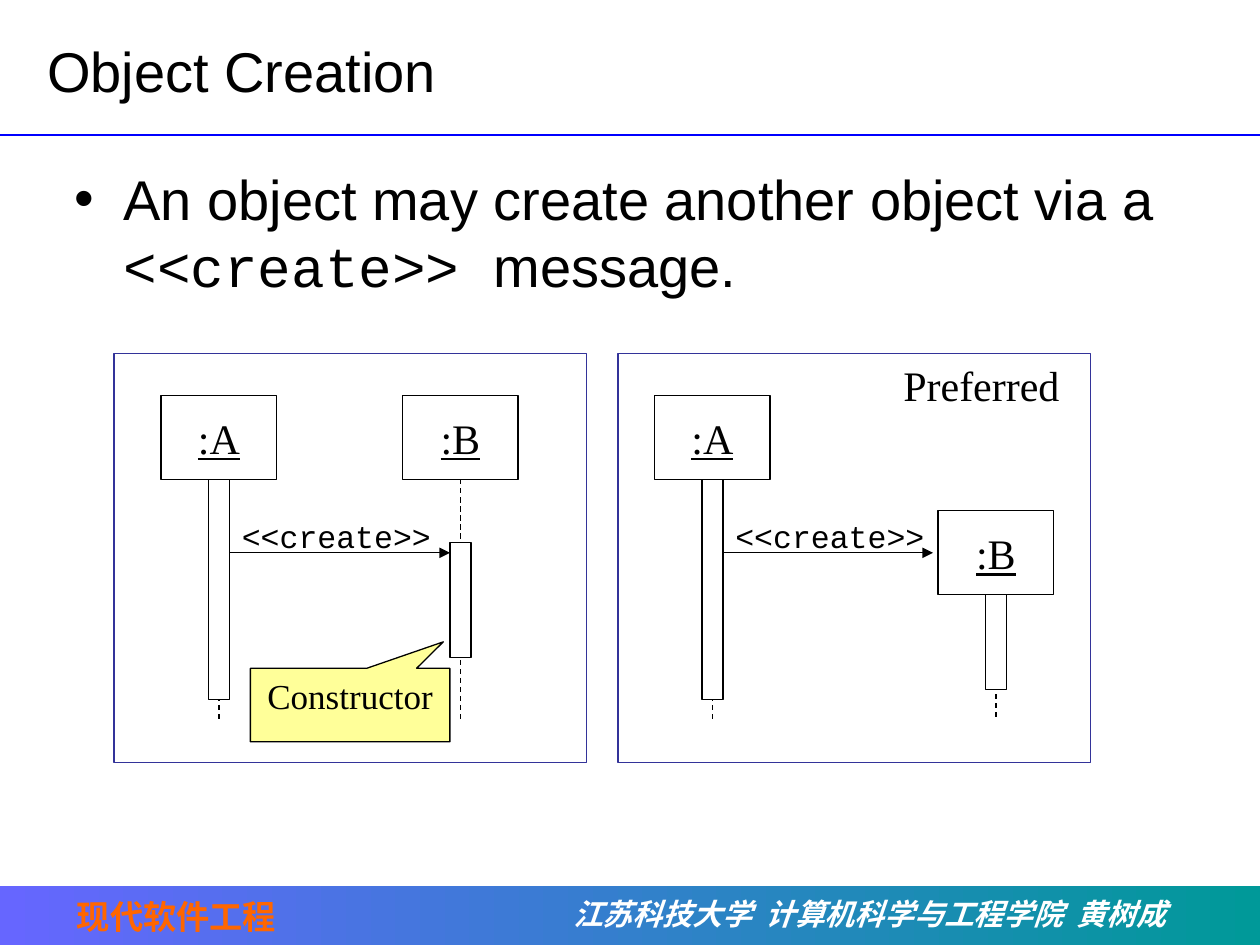
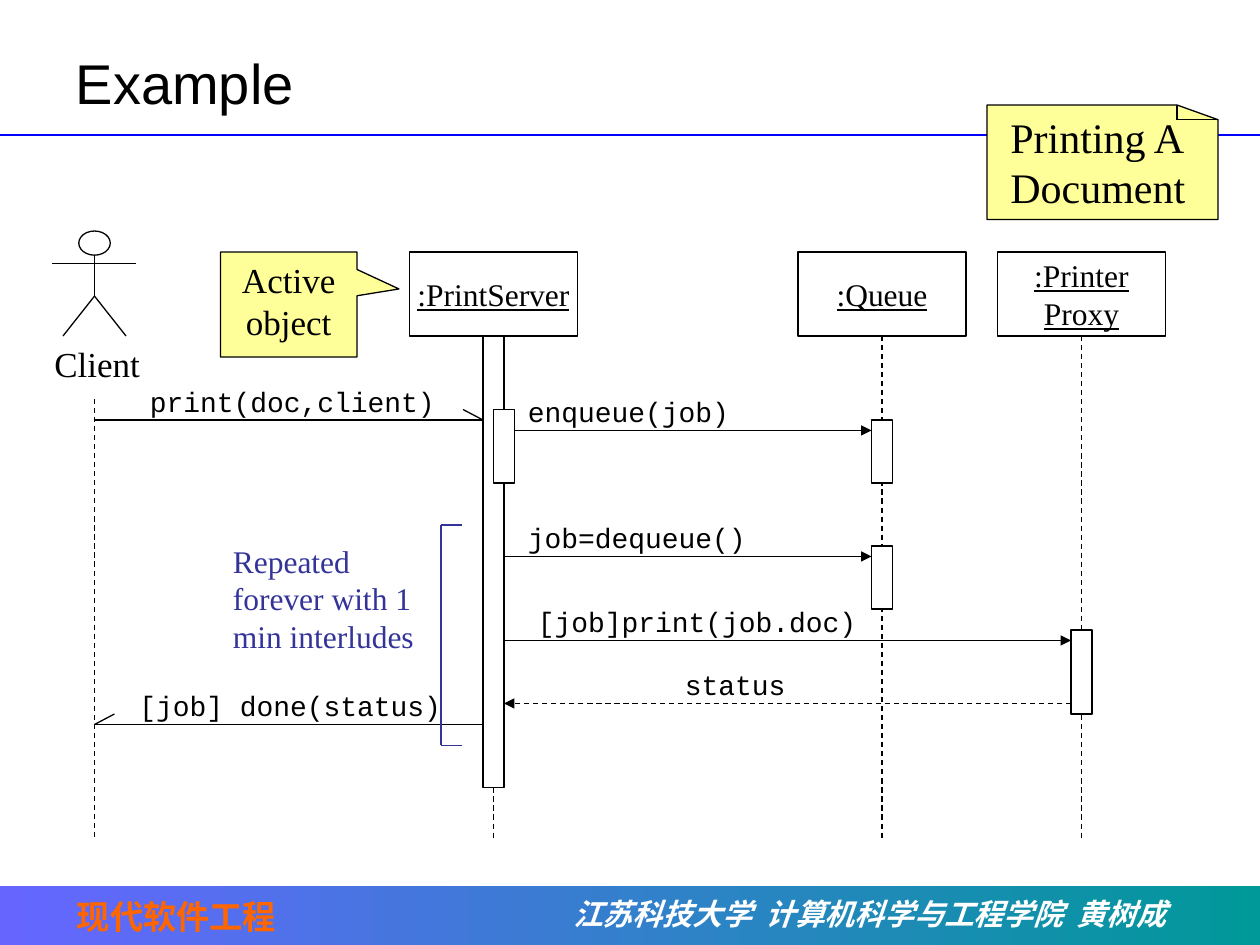
from lxml import etree
from pptx import Presentation
from pptx.dml.color import RGBColor
from pptx.enum.dml import MSO_LINE
from pptx.enum.shapes import MSO_CONNECTOR, MSO_SHAPE
from pptx.enum.text import MSO_ANCHOR, MSO_AUTO_SIZE, PP_ALIGN
from pptx.oxml.ns import qn
from pptx.util import Inches, Pt

RECT, OVAL, CALLOUT = MSO_SHAPE.RECTANGLE, MSO_SHAPE.OVAL, MSO_SHAPE.RECTANGULAR_CALLOUT
LEFT, CENTER = PP_ALIGN.LEFT, PP_ALIGN.CENTER
TOP, MIDDLE = MSO_ANCHOR.TOP, MSO_ANCHOR.MIDDLE
STRAIGHT, DASH = MSO_CONNECTOR.STRAIGHT, MSO_LINE.DASH
GROW = MSO_AUTO_SIZE.SHAPE_TO_FIT_TEXT
SERIF, SANS, MONO = "Times New Roman", "Arial", "Courier New"
BLACK, WHITE, YELLOW, NAVY = "000000", "FFFFFF", "FFFF99", "333399"
BLUE, ORANGE, VIOLET, TEAL = "0000FF", "FF6600", "6666FF", "009999"
COLUMNS, ROWS = 120, 90
CELL = Inches(10) / COLUMNS
rgb = RGBColor.from_string


def draw(page, kind, left, top, width, height, text="", fill=None, line=BLACK,
         size=18, font=SERIF, color=BLACK, align=LEFT, anchor=TOP, wrap=False,
         bold=False, italic=False, underline=False):
    place = [round(length * CELL) for length in (left, top, width, height)]
    if kind is None:
        box = page.shapes.add_textbox(*place)
        if not wrap:
            box.text_frame.auto_size = GROW
    else:
        box = page.shapes.add_shape(kind, *place)
        box.shadow.inherit = False
        if fill:
            box.fill.solid()
            box.fill.fore_color.rgb = rgb(fill)
        else:
            box.fill.background()
        if line:
            box.line.color.rgb = rgb(line)
            box.line.width = Pt(0.75)
        else:
            box.line.fill.background()
    frame = box.text_frame
    frame.word_wrap = wrap
    frame.vertical_anchor = anchor
    for number, words in enumerate(text.split("\n") if text else []):
        para = frame.add_paragraph() if number else frame.paragraphs[0]
        para.alignment = align
        for index, piece in enumerate(words.split("|")):
            span = para.add_run()
            span.text = piece
            span.font.name = MONO if index % 2 else font
            span.font.size = Pt(size)
            span.font.color.rgb = rgb(color)
            span.font.bold = bold
            span.font.italic = italic
            span.font.underline = underline
    return box


def link(page, x1, y1, x2, y2, color=BLACK, width=0.75, dashed=False, arrow=False):
    ends = [round(length * CELL) for length in (x1, y1, x2, y2)]
    connector = page.shapes.add_connector(STRAIGHT, *ends)
    connector.line.color.rgb = rgb(color)
    connector.line.width = Pt(width)
    if dashed:
        connector.line.dash_style = DASH
    if arrow:
        outline = connector.line._get_or_add_ln()
        etree.SubElement(outline, qn("a:tailEnd"), type="triangle")
    etree.SubElement(connector._element.spPr, qn("a:effectLst"))


deck = Presentation()
deck.slide_width = round(COLUMNS * CELL)
deck.slide_height = round(ROWS * CELL)

pages = []
for title, left, top in [("Object Creation", 3.3, 2.5), ("Example", 6.05, 3.6)]:
    page = deck.slides.add_slide(deck.slide_layouts[6])
    link(page, 0, 12.85, COLUMNS, 12.85, color=BLUE, width=1.5)
    band = draw(page, RECT, 0, 84.4, COLUMNS, 5.6, line=None)
    band.fill.gradient()
    band.fill.gradient_angle = 0
    for stop, color in zip(band.fill.gradient_stops, (VIOLET, TEAL)):
        stop.color.rgb = rgb(color)
    draw(page, None, 53.4, 84.7, 61.4, 4.7, "江苏科技大学  计算机科学与工程学院  黄树成",
         size=17, color=WHITE, bold=True, italic=True, wrap=True)
    draw(page, None, 6.15, 84.75, 35.4, 5, "现代软件工程",
         size=19, color=ORANGE, bold=True, wrap=True)
    draw(page, None, left, top, 107, 8.4, title, size=32, font=SANS,
         anchor=MIDDLE, wrap=True)
    pages.append(page)
creation, example = pages

body = draw(creation, None, 5.9, 15.1, 108, 67,
            "An object may create another object via a |<<create>> |message.",
            size=32, font=SANS, wrap=True)
bullet = body.text_frame.paragraphs[0]._p.get_or_add_pPr()
bullet.set("marL", str(Inches(0.39)))
bullet.set("indent", str(-Inches(0.39)))
etree.SubElement(bullet, qn("a:buFont"), typeface=SANS)
etree.SubElement(bullet, qn("a:buChar"), char="•")

head_top, head_width, head_height, life_end = 37.65, 11, 8, 68.65
message_row = head_top + 15
for panel, a_left, b_left, b_top, b_delay, b_run, message_end in [
        (10.85, 15.35, 38.35, head_top, 6, 11, 42.85),
        (58.85, 62.35, 89.35, head_top + 11, 0, 9, 88.85)]:
    draw(creation, RECT, panel, 33.65, 45, 39, line=NAVY)
    for name, left, top, delay, run in [(":A", a_left, head_top, 0, 21),
                                        (":B", b_left, b_top, b_delay, b_run)]:
        middle, bottom = left + head_width / 2, top + head_height
        draw(creation, RECT, left, top, head_width, head_height, name, size=24,
             align=CENTER, anchor=MIDDLE, underline=True)
        link(creation, middle, bottom, middle, life_end, dashed=True)
        draw(creation, RECT, middle - 1, bottom + delay, 2, run, fill=WHITE)
    message_start = a_left + head_width / 2 + 1
    link(creation, message_start, message_row, message_end, message_row, arrow=True)
    draw(creation, None, message_start, message_row - 4, 20.5, 4.8, "<<create>>", font=MONO)
draw(creation, None, 84.85, 33.65, 17.4, 6, "Preferred", size=24)

for ends in [(6, 32, 9, 28.2), (12, 32, 9, 28.2), (9, 28.2, 9, 24.4), (5, 25.1, 13, 25.1)]:
    link(example, *ends)
draw(example, OVAL, 7.5, 22, 3, 2.3)
draw(example, None, 4, 32, 10.8, 5.3, "Client", size=20)

client, server, queue, proxy = 9, 47, 84, 103
link(example, client, 38, client, 80, dashed=True)
for name, middle in [(":PrintServer", server), (":Queue", queue), (":Printer\nProxy", proxy)]:
    draw(example, RECT, middle - 8, 24, 16, 8, name, align=CENTER, anchor=MIDDLE,
         underline=True)
    link(example, middle, 32, middle, 80, dashed=True)
for middle, top, run in [(server, 32, 43), (server + 1, 39, 7), (queue, 40, 6),
                         (queue, 52, 6), (proxy, 60, 8)]:
    draw(example, RECT, middle - 1, top, 2, run, fill=WHITE)

for words, start, end, row, text_left, text_width, style in [
        ("print(doc,client)", client, server - 1, 40, 13.1, 29.8, "barb"),
        ("enqueue(job)", server + 2, queue - 1, 41, 49.1, 21.8, "solid"),
        ("job=dequeue()", server + 1, queue - 1, 53, 49.1, 23.4, "solid"),
        ("[job]print(job.doc)", server + 1, proxy - 1, 61, 50.05, 33, "solid"),
        ("status", proxy - 1, server + 1, 67, 64.05, 12.3, "dashed"),
        ("[job] done(status)", server - 1, client, 69, 12.1, 31.4, "barb")]:
    link(example, start, row, end, row, dashed=style == "dashed", arrow=style != "barb")
    if style == "barb":
        back = -1.9 if end > start else 1.9
        link(example, end, row, end + back, row - 1)
    draw(example, None, text_left, row - 4, text_width, 4.4, words, size=16, font=MONO)

draw(example, None, 21, 51, 20, 12, "Repeated forever with 1 min interludes",
     color=NAVY, wrap=True)
for ends in [(42, 50, 42, 71), (42, 50, 44, 50), (42, 71, 44, 71)]:
    link(example, *ends, color=NAVY)

note_left, note_top, note_right, note_bottom, fold_left, fold_row = 94, 10, 116, 20.9, 112.1, 11.4
corners = [(note_left, note_bottom), (note_right, note_bottom),
           (note_right, fold_row), (fold_left, note_top)]
outline = example.shapes.build_freeform(round(note_left * CELL), round(note_top * CELL))
outline.add_line_segments([(x * CELL, y * CELL) for x, y in corners])
note = outline.convert_to_shape()
note.shadow.inherit = False
note.fill.solid()
note.fill.fore_color.rgb = rgb(YELLOW)
note.line.color.rgb = rgb(BLACK)
note.line.width = Pt(0.75)
link(example, fold_left, note_top, fold_left, fold_row)
link(example, fold_left, fold_row, note_right, fold_row)
draw(example, None, 95.05, 10, 19.7, 12, "Printing A\nDocument", size=24, wrap=True)

for page, words, place, pointer in [
        (creation, "Constructor", (23.85, 63.65, 19, 7), (0.467, -0.86)),
        (example, "Active object", (21, 24, 13, 10), (0.808, -0.148))]:
    callout = draw(page, CALLOUT, *place, words, fill=YELLOW, size=20,
                   align=CENTER, wrap=True)
    callout.adjustments[0], callout.adjustments[1] = pointer

deck.save("out.pptx")
